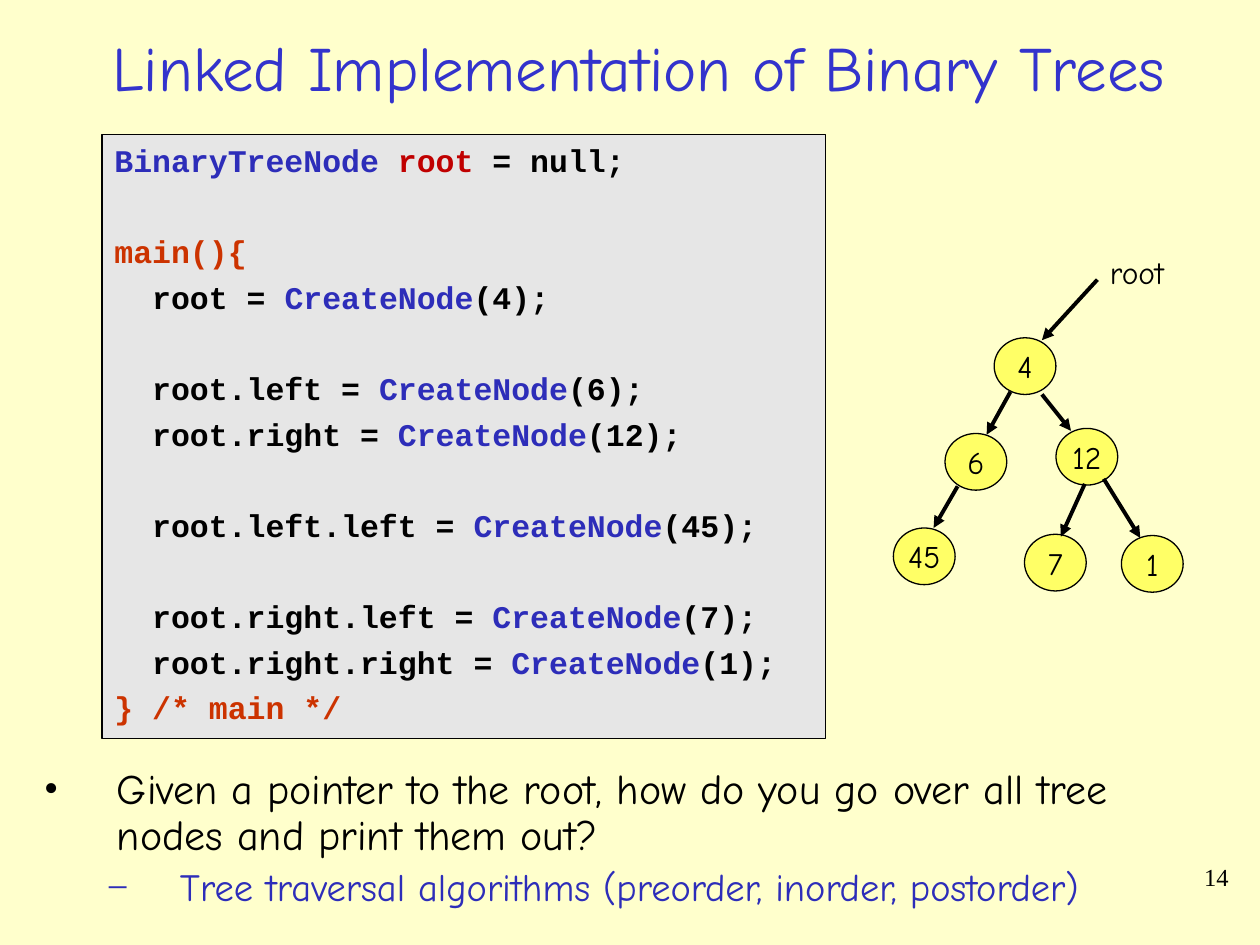
from pptx import Presentation
from pptx.dml.color import RGBColor
from pptx.enum import shapes, text
from pptx.oxml.ns import qn
from pptx.util import Pt
from lxml import etree

CREAM = RGBColor(0xFF, 0xFF, 0xCC)
GREY = RGBColor(0xE6, 0xE6, 0xE6)
YELLOW = RGBColor(0xFF, 0xFF, 0x66)
BLACK = RGBColor(0, 0, 0)
BLUE = RGBColor(0x33, 0x33, 0xCC)
DARK_BLUE = RGBColor(0x2D, 0x2D, 0xB9)
RED = RGBColor(0xC0, 0, 0)
ORANGE = RGBColor(0xCC, 0x33, 0)

HAND, CODE, SERIF = "Comic Neue", "Courier New", "Times New Roman"
LINE_GAP = 4.5
BLANK_LINE = 26
INDENT = 41.76
NODE_WIDTH, NODE_HEIGHT = 35.3, 32.4

NODES = [
    ("4", 568.1, 193),
    ("6", 540, 247.7),
    ("12", 603.4, 244.8),
    ("45", 510.5, 301.7),
    ("7", 585.4, 305.3),
    ("1", 640.8, 306),
]
ARROWS = [
    (627.1, 159.8, 595.4, 194.4),
    (577.4, 223.9, 563.8, 248.4),
    (595.4, 225.4, 612, 246.2),
    (547.2, 277.9, 533.5, 301.7),
    (619.9, 276.5, 606.2, 306.7),
    (630.7, 273.6, 651.6, 307.4),
]


def assign(target, value):
    return [(f"  {target} = ", BLACK), ("CreateNode", DARK_BLUE), (f"({value});", BLACK)]


CODE_BLOCKS = [
    [[("BinaryTreeNode ", DARK_BLUE), ("root ", RED), ("= null;", BLACK)]],
    [[("main(){", ORANGE)], assign("root", 4)],
    [assign("root.left", 6), assign("root.right", 12)],
    [assign("root.left.left", 45)],
    [assign("root.right.left", 7), assign("root.right.right", 1), [("} /* main */", ORANGE)]],
]


def style(font, name, size, color, bold=False):
    font.name = name
    font.size = Pt(size)
    font.color.rgb = color
    font.bold = bold


def add_label(page, words, place, name, size, color, align, wrap=True):
    box = page.shapes.add_textbox(*map(Pt, place))
    frame = box.text_frame
    frame.word_wrap = wrap
    frame.text = words
    para = frame.paragraphs[0]
    para.alignment = align
    style(para.runs[0].font, name, size, color)
    return box


def add_panel(page, preset, place, color):
    panel = page.shapes.add_shape(preset, *map(Pt, place))
    panel.shadow.inherit = False
    panel.fill.solid()
    panel.fill.fore_color.rgb = color
    panel.line.color.rgb = BLACK
    panel.line.width = Pt(0.75)
    return panel


def add_code(page):
    panel = add_panel(page, shapes.MSO_SHAPE.RECTANGLE, (58.3, 77, 413.3, 344.9), GREY)
    frame = panel.text_frame
    frame.vertical_anchor = text.MSO_ANCHOR.TOP
    para = None
    for block in CODE_BLOCKS:
        for row, pieces in enumerate(block):
            if para is None:
                para = frame.paragraphs[0]
            else:
                para = frame.add_paragraph()
                para.space_before = Pt(LINE_GAP if row else LINE_GAP + BLANK_LINE)
            para.alignment = text.PP_ALIGN.LEFT
            for words, color in pieces:
                span = para.add_run()
                span.text = words
                style(span.font, CODE, 18, color, bold=True)


def add_node(page, value, left, top):
    place = (left, top, NODE_WIDTH, NODE_HEIGHT)
    node = add_panel(page, shapes.MSO_SHAPE.OVAL, place, YELLOW)
    frame = node.text_frame
    frame.word_wrap = False
    frame.vertical_anchor = text.MSO_ANCHOR.MIDDLE
    frame.text = value
    para = frame.paragraphs[0]
    para.alignment = text.PP_ALIGN.CENTER
    style(para.runs[0].font, HAND, 18, BLACK)


def add_arrow(page, ends):
    arrow = page.shapes.add_connector(shapes.MSO_CONNECTOR.STRAIGHT, *map(Pt, ends))
    arrow.line.color.rgb = BLACK
    arrow.line.width = Pt(2.25)
    properties = arrow.element.spPr
    etree.SubElement(properties.find(qn("a:ln")), qn("a:tailEnd"), type="triangle")
    etree.SubElement(properties, qn("a:effectLst"))


def add_bullet(para, mark, color, margin):
    properties = para._p.get_or_add_pPr()
    properties.set("marL", str(Pt(margin)))
    properties.set("indent", str(Pt(-INDENT)))
    tint = etree.SubElement(properties, qn("a:buClr"))
    etree.SubElement(tint, qn("a:srgbClr"), val=str(color))
    etree.SubElement(properties, qn("a:buFont"), typeface=SERIF)
    etree.SubElement(properties, qn("a:buChar"), char=mark)


def add_question(page):
    box = page.shapes.add_textbox(Pt(18), Pt(435.6), Pt(676.1), Pt(84.2))
    frame = box.text_frame
    frame.word_wrap = True
    question, answer = frame.paragraphs[0], frame.add_paragraph()
    question.text = "Given a pointer to the root, how do you go over all tree nodes and print them out?"
    answer.text = "Tree traversal algorithms (preorder, inorder, postorder)"
    answer.level = 1
    answer.space_before = Pt(5.5)
    rows = [(question, "•", BLACK, INDENT, 24), (answer, "−", DARK_BLUE, INDENT + 36, 22)]
    for para, mark, color, margin, size in rows:
        para.line_spacing = 0.9
        add_bullet(para, mark, color, margin)
        style(para.runs[0].font, HAND, size, color)


def main():
    deck = Presentation()
    deck.slide_width, deck.slide_height = Pt(720), Pt(540)
    page = deck.slides.add_slide(deck.slide_layouts[6])
    page.background.fill.solid()
    page.background.fill.fore_color.rgb = CREAM

    align = text.PP_ALIGN
    add_label(page, "14", (559.4, 488.9, 149.8, 36), SERIF, 14, BLACK, align.RIGHT)
    title = add_label(page, "Linked Implementation of Binary Trees",
                      (21.6, 10.8, 686.9, 54.7), HAND, 36, BLUE, align.CENTER)
    title.text_frame.vertical_anchor = text.MSO_ANCHOR.MIDDLE
    add_code(page)
    for node in NODES:
        add_node(page, *node)
    for ends in ARROWS:
        add_arrow(page, ends)
    add_label(page, "root", (627.1, 141.1, 45.4, 28.8), HAND, 18, BLACK, align.LEFT, wrap=False)
    add_question(page)
    deck.save("out.pptx")


if __name__ == "__main__":
    main()
